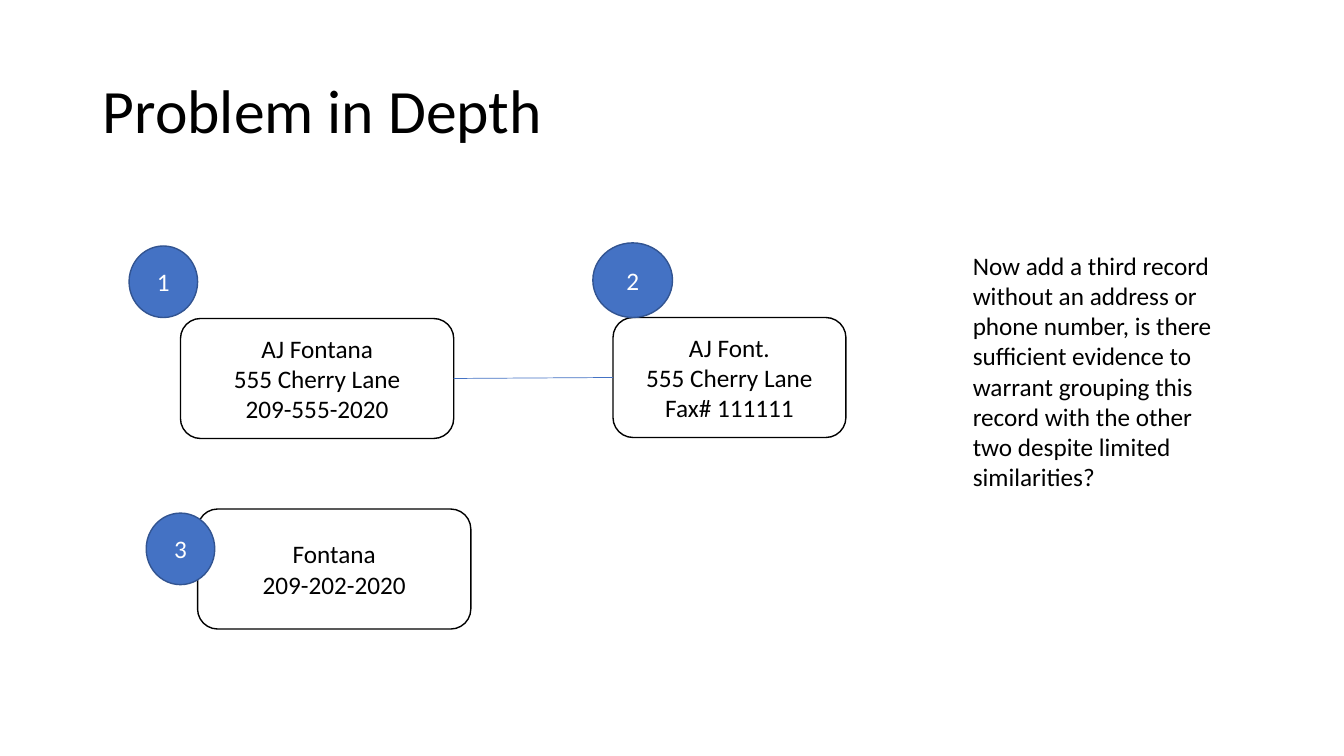
"""Build the 'Problem in Depth' slide with three linked contact records."""
import pptx
import pptx.dml.color
import pptx.enum.shapes
import pptx.enum.text
import pptx.oxml.xmlchemy
import pptx.util
from lxml import etree
from pptx.util import Inches, Pt

FONT = "Calibri"
BLACK, WHITE, BLUE, DARK_BLUE = "000000", "FFFFFF", "4472C4", "325491"
TITLE = "Problem in Depth"
QUESTION = (
    "Now add a third record without an address or phone number, is there "
    "sufficient evidence to warrant grouping this record with the other two "
    "despite limited similarities?"
)
RECORDS = [
    {"number": "1", "lines": ["AJ Fontana", "555 Cherry Lane", "209-555-2020"],
     "card": (1.79, 3.16, 2.71, 1.19), "badge": (1.28, 2.44, 0.68, 0.71)},
    {"number": "2", "lines": ["AJ Font.", "555 Cherry Lane", "Fax# 111111"],
     "card": (6.08, 3.15, 2.31, 1.19), "badge": (5.88, 2.41, 0.79, 0.74)},
    {"number": "3", "lines": ["Fontana", "209-202-2020"],
     "card": (1.96, 5.05, 2.71, 1.19), "badge": (1.45, 5.09, 0.68, 0.71)},
]


def rgb(value):
    return pptx.dml.color.RGBColor.from_string(value)


def write(frame, text, size, color, align, anchor):
    frame.text = text
    frame.word_wrap = True
    frame.vertical_anchor = anchor
    for paragraph in frame.paragraphs:
        paragraph.alignment = align
        for run in paragraph.runs:
            run.font.name = FONT
            run.font.size = Pt(size)
            run.font.color.rgb = rgb(color)


def add_node(slide, kind, box, text, fill, outline, color):
    node = slide.shapes.add_shape(kind, *map(Inches, box))
    node.shadow.inherit = False
    node.fill.solid()
    node.fill.fore_color.rgb = rgb(fill)
    node.line.color.rgb = rgb(outline)
    node.line.width = Pt(1)
    write(node.text_frame, text, 18, color,
          pptx.enum.text.PP_ALIGN.CENTER, pptx.enum.text.MSO_ANCHOR.MIDDLE)
    return node


def add_link(slide, start, end):
    link = slide.shapes.add_connector(
        pptx.enum.shapes.MSO_CONNECTOR.STRAIGHT, 0, 0, 0, 0)
    link.begin_connect(start, 3)
    link.end_connect(end, 1)
    link.line.color.rgb = rgb(BLUE)
    link.line.width = Pt(0.5)
    etree.SubElement(link.element.spPr, pptx.oxml.ns.qn("a:effectLst"))


def main():
    deck = pptx.Presentation()
    deck.slide_width, deck.slide_height = Inches(13.33), Inches(7.5)
    slide = deck.slides.add_slide(deck.slide_layouts[5])

    title = slide.shapes.title
    title.left, title.top, title.width, title.height = map(
        Inches, (0.92, 0.4, 11.5, 1.45))
    write(title.text_frame, TITLE, 44, BLACK,
          pptx.enum.text.PP_ALIGN.LEFT, pptx.enum.text.MSO_ANCHOR.MIDDLE)
    title.text_frame.paragraphs[0].line_spacing = 0.9

    shape_kinds = pptx.enum.shapes.MSO_SHAPE
    cards = []
    for record in RECORDS:
        cards.append(add_node(slide, shape_kinds.ROUNDED_RECTANGLE, record["card"],
                              "\n".join(record["lines"]), WHITE, BLACK, BLACK))
        add_node(slide, shape_kinds.OVAL, record["badge"],
                 record["number"], BLUE, DARK_BLUE, WHITE)
    add_link(slide, cards[0], cards[1])

    question = slide.shapes.add_textbox(*map(Inches, (9.55, 2.43, 2.63, 2.52)))
    write(question.text_frame, QUESTION, 18, BLACK,
          pptx.enum.text.PP_ALIGN.LEFT, pptx.enum.text.MSO_ANCHOR.TOP)
    question.text_frame.auto_size = pptx.enum.text.MSO_AUTO_SIZE.SHAPE_TO_FIT_TEXT

    deck.save("out.pptx")


if __name__ == "__main__":
    main()
